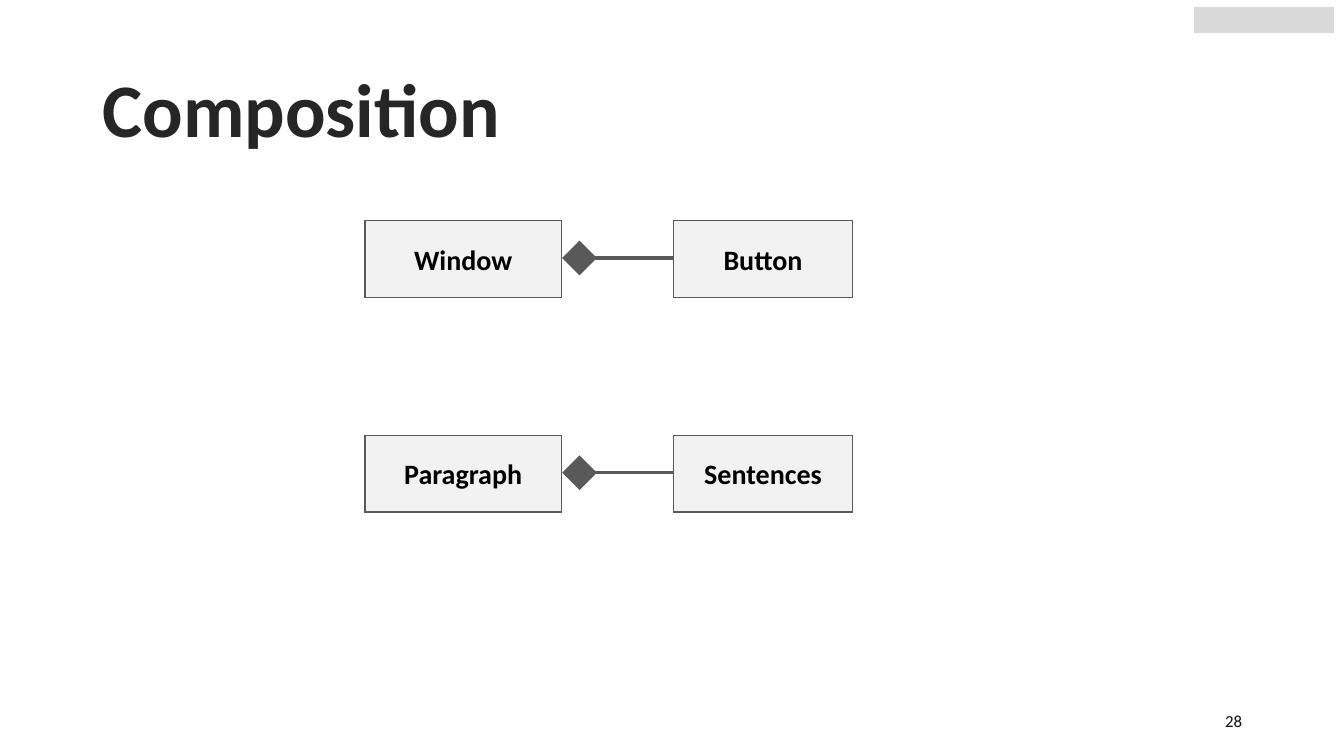
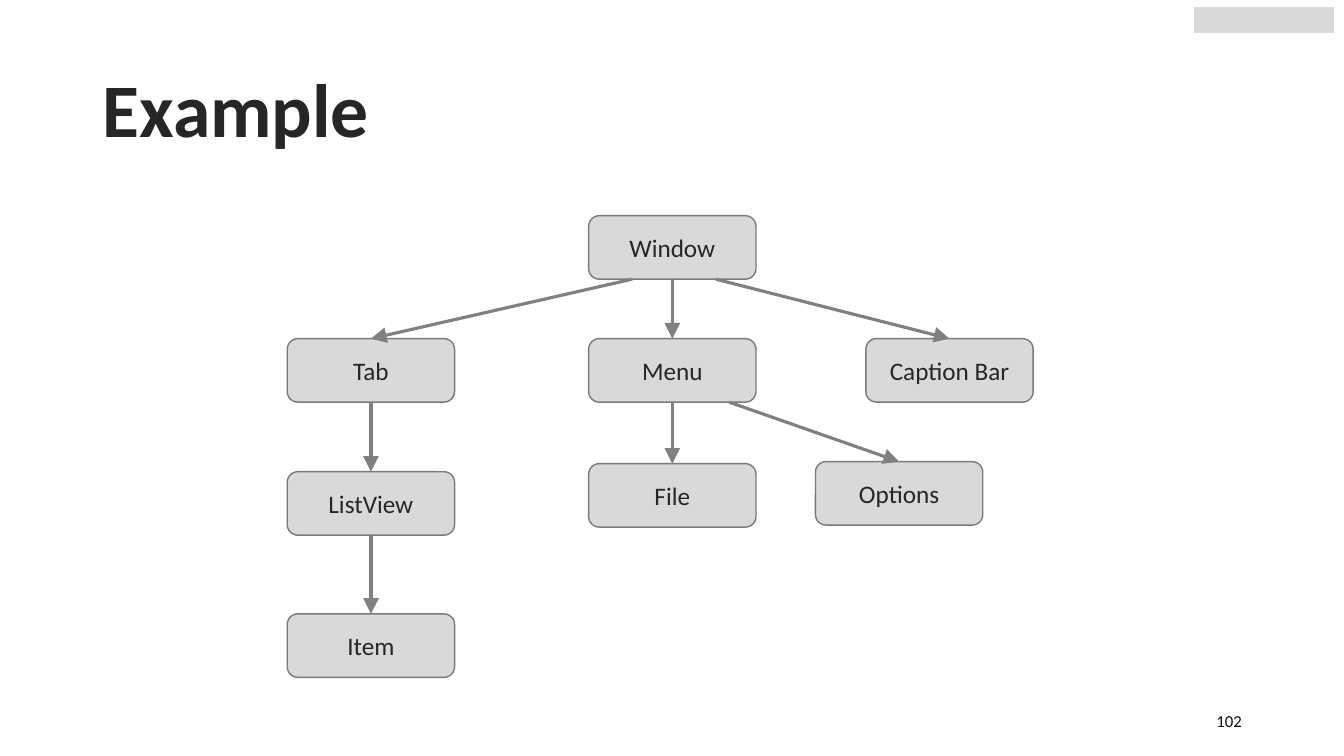
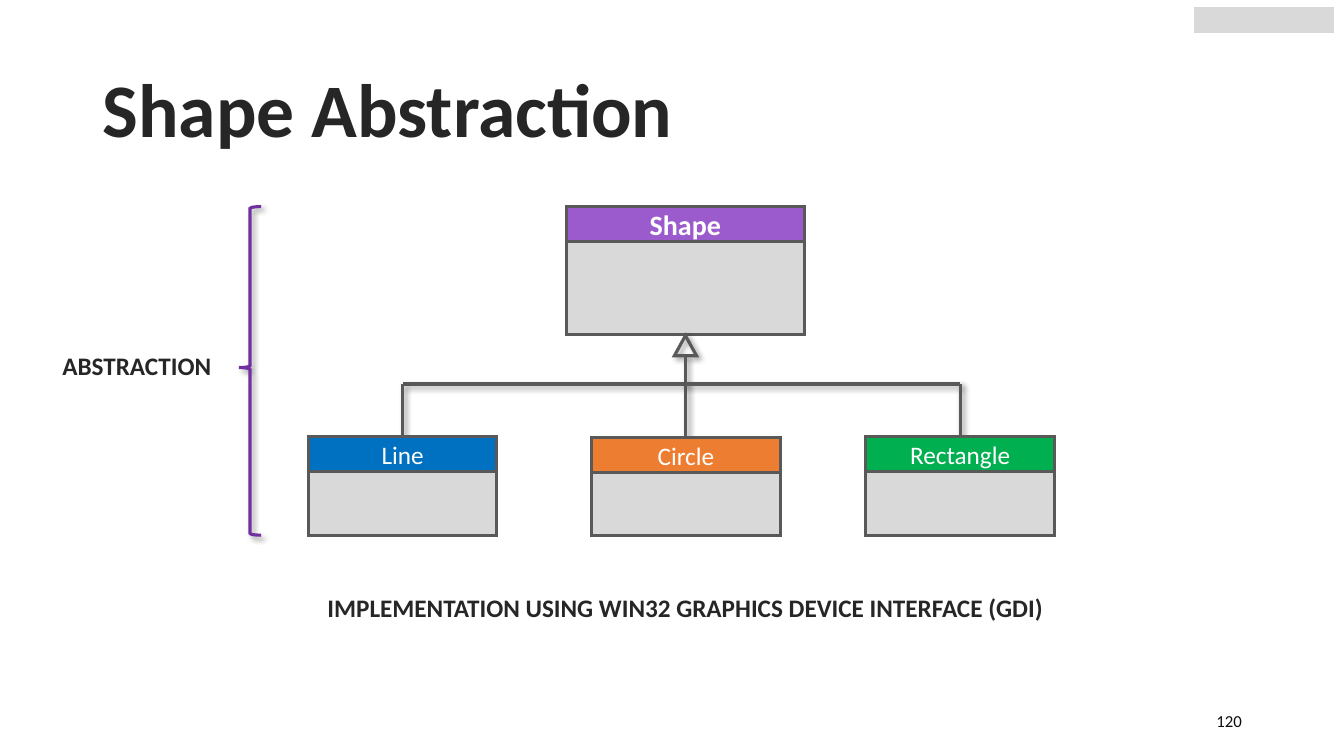
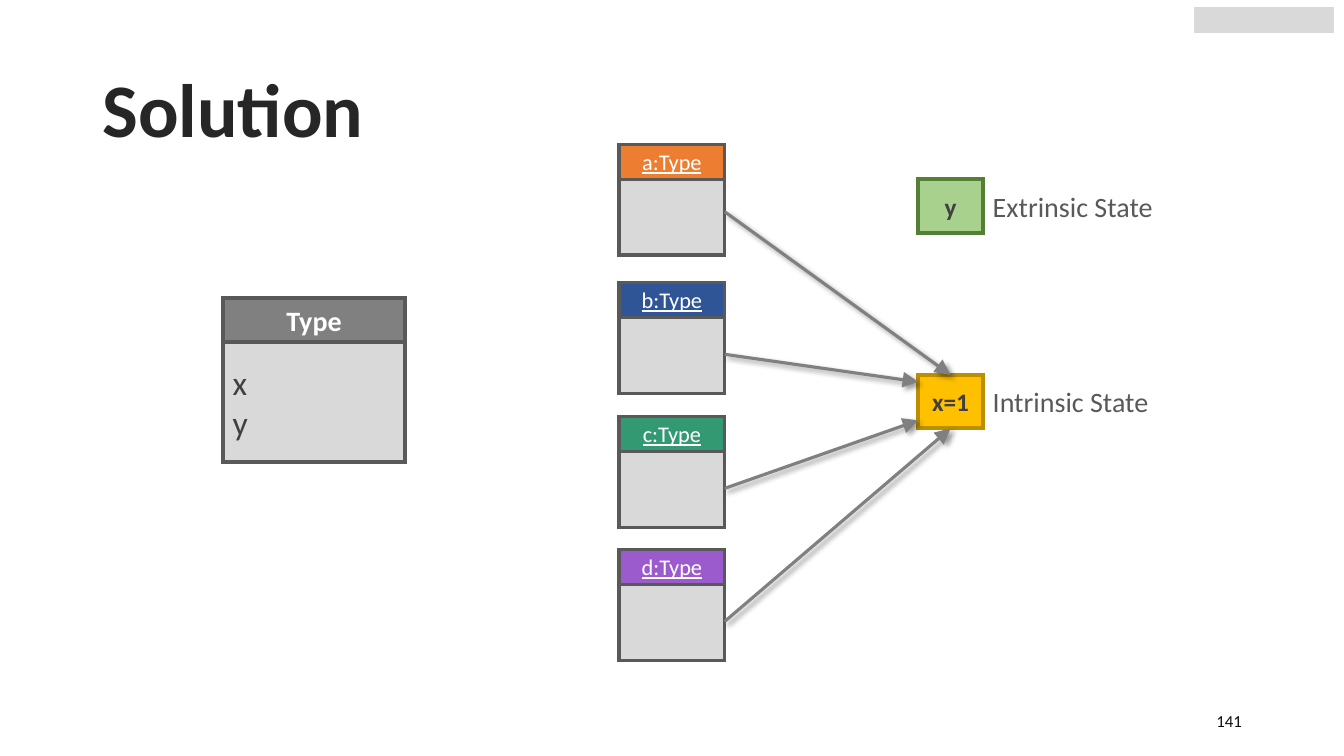
from dataclasses import dataclass
from pptx import Presentation
from pptx import util as u
from pptx.dml.color import RGBColor
from pptx.enum import shapes, text
from pptx.oxml import parse_xml
from pptx.oxml.ns import nsdecls, qn
from pptx.oxml.xmlchemy import OxmlElement

KIND = shapes.MSO_SHAPE
LEFT, CENTER, RIGHT = text.PP_ALIGN.LEFT, text.PP_ALIGN.CENTER, text.PP_ALIGN.RIGHT


@dataclass(frozen=True)
class Theme:
    font: str = "Calibri"
    cell: float = 0.1
    columns: float = 133.33
    rows: float = 75
    ink: str = "262626"
    number: str = "0D0D0D"
    black: str = "000000"
    white: str = "FFFFFF"
    dark: str = "595959"
    state_ink: str = "404040"
    arrow: str = "808080"
    node_edge: str = "7A7A7A"
    panel: str = "D9D9D9"
    pale: str = "F2F2F2"
    orange: str = "ED7D31"
    blue: str = "0070C0"
    navy: str = "2F5597"
    green: str = "00B050"
    teal: str = "339972"
    purple: str = "9C5BCD"
    violet: str = "7030A0"
    amber: str = "FFC000"
    amber_edge: str = "BD8E00"
    leaf: str = "A9D18E"
    leaf_edge: str = "538035"
    title: int = 54
    fields: int = 24
    large: int = 20
    body: int = 18
    object: int = 16
    small: int = 12
    thin: float = 1
    line: float = 2.25
    thick: float = 3


T = Theme()

CORNER = (118.5, 0.8, 13.8, 2.4)

COMPOSITION = [("Window", "Button", 21.9), ("Paragraph", "Sentences", 43.2)]
WHOLE_SPAN, PART_SPAN, PAIR_HEIGHT = (36.2, 19.5), (66.8, 17.8), 7.6
DIAMOND = 3

NODE_SIZE = (16.6, 6.3)
NODES = {
    "Window": (58.4, 21.4),
    "Tab": (28.5, 33.6),
    "Menu": (58.4, 33.6),
    "Caption Bar": (85.9, 33.6),
    "ListView": (28.5, 46.8),
    "Item": (28.5, 60.9),
    "File": (58.4, 46),
    "Options": (80.9, 45.8),
}
LINKS = [
    ("Window", "Caption Bar", 0.76), ("Window", "Menu", 0.5), ("Window", "Tab", 0.26),
    ("Tab", "ListView", 0.5), ("ListView", "Item", 0.5),
    ("Menu", "File", 0.5), ("Menu", "Options", 0.84),
]

BASE = ("Shape", T.purple, (56.2, 20.5, 23.6, 12.7))
DERIVED = [("Line", T.blue, 30.6, 43.3), ("Circle", T.orange, 58.7, 43.4),
           ("Rectangle", T.green, 85.9, 43.3)]
DERIVED_WIDTH, DERIVED_FLOOR, BUS_ROW = 18.7, 53.1, 38.1
ABSTRACTION = ("ABSTRACTION", (5.2, 34.3, 18, 4))
GDI = ("IMPLEMENTATION USING WIN32 GRAPHICS DEVICE INTERFACE (GDI)", (31.5, 58.3, 75, 4))
BRACE = (23.7, 20.5, 2.2, 32.6)

OBJECTS = [
    ("a:Type", T.orange, 14.3, 0.61, (0.5, 0)),
    ("b:Type", T.navy, 28, 0.65, (0, 0.13)),
    ("c:Type", T.teal, 41.3, 0.65, (0, 0.85)),
    ("d:Type", T.purple, 54.5, 0.65, (0.5, 1)),
]
OBJECT_SPAN, OBJECT_HEIGHT = (61.4, 10.5), 11
TYPE = ("Type", ["x", "y"], (22.1, 29.6, 18.1, 16.2))
STATE_SPAN, STATE_HEIGHT = (91.1, 6.4), 5.3
STATES = [("x=1", "Intrinsic State", 37.2, T.amber, T.amber_edge),
          ("y", "Extrinsic State", 17.8, T.leaf, T.leaf_edge)]


def cells(*counts):
    return [u.Inches(count * T.cell) for count in counts]


def rgb(color):
    return RGBColor.from_string(color)


def write(frame, lines, align=LEFT, spacing=None, color=T.ink, size=T.body,
          bold=False, underline=None):
    frame.word_wrap = True
    frame.vertical_anchor = text.MSO_ANCHOR.MIDDLE
    for index, line in enumerate(lines):
        para = frame.paragraphs[0] if index == 0 else frame.add_paragraph()
        para.alignment = align
        para.line_spacing = spacing
        run = para.add_run()
        run.text = line
        run.font.name = T.font
        run.font.size = u.Pt(size)
        run.font.bold = bold
        run.font.underline = underline
        run.font.color.rgb = rgb(color)


def label(slide, place, words, **style):
    write(slide.shapes.add_textbox(*cells(*place)).text_frame, [words], **style)


def add_line_part(drawn, tag, **settings):
    part = OxmlElement(tag)
    for key, value in settings.items():
        part.set(key, value)
    drawn.line._get_or_add_ln().append(part)


def set_effects(drawn, shadow):
    properties = drawn._element.spPr
    effects = properties.find(qn("a:effectLst"))
    if effects is None:
        effects = OxmlElement("a:effectLst")
        properties.append(effects)
    if shadow:
        effects.append(parse_xml(
            f'<a:outerShdw {nsdecls("a")} blurRad="50800" dist="38100" dir="2700000" '
            'algn="tl" rotWithShape="0"><a:srgbClr val="000000"><a:alpha val="40000"/>'
            '</a:srgbClr></a:outerShdw>'))


def block(slide, place, fill, edge=T.dark, width=T.line, kind=KIND.RECTANGLE,
          lines=(), shadow=False, **style):
    drawn = slide.shapes.add_shape(kind, *cells(*place))
    drawn.shadow.inherit = False
    if fill:
        drawn.fill.solid()
        drawn.fill.fore_color.rgb = rgb(fill)
    else:
        drawn.fill.background()
    drawn.line.color.rgb = rgb(edge)
    drawn.line.width = u.Pt(width)
    add_line_part(drawn, "a:miter", lim="800000")
    set_effects(drawn, shadow)
    write(drawn.text_frame, lines, **{"align": CENTER, **style})
    return drawn


def link(slide, start, end, color=T.dark, arrow=False, shadow=False):
    drawn = slide.shapes.add_connector(shapes.MSO_CONNECTOR.STRAIGHT, *cells(*start, *end))
    drawn.line.color.rgb = rgb(color)
    drawn.line.width = u.Pt(T.line)
    if arrow:
        add_line_part(drawn, "a:tailEnd", type="triangle", w="lg", len="lg")
    set_effects(drawn, shadow)


def class_box(slide, name, place, fill, head=3.5, width=T.line, members=(), **style):
    left, top, wide, high = place
    block(slide, (left, top, wide, head), fill, width=width, lines=[name],
          color=T.white, **style)
    block(slide, (left, top + head, wide, high - head), T.panel, width=width,
          lines=members, align=LEFT, size=T.fields, color=T.state_ink)


def at(place, across, down):
    left, top, wide, high = place
    return left + wide * across, top + high * down


def composition(slide):
    for whole, part, top in COMPOSITION:
        for name, (left, wide) in ((whole, WHOLE_SPAN), (part, PART_SPAN)):
            block(slide, (left, top, wide, PAIR_HEIGHT), T.pale, width=T.thin,
                  lines=[name], size=T.large, bold=True, color=T.black)
        middle = top + PAIR_HEIGHT / 2 - 0.1
        tip = sum(WHOLE_SPAN) + 0.3
        link(slide, (tip + DIAMOND, middle), (PART_SPAN[0], middle))
        block(slide, (tip, middle - DIAMOND / 2, DIAMOND, DIAMOND), T.dark, kind=KIND.DIAMOND)


def example(slide):
    for name, corner in NODES.items():
        block(slide, (*corner, *NODE_SIZE), T.panel, T.node_edge, T.thin,
              KIND.ROUNDED_RECTANGLE, [name])
    for parent, child, share in LINKS:
        link(slide, at((*NODES[parent], *NODE_SIZE), share, 1),
             at((*NODES[child], *NODE_SIZE), 0.5, 0), T.arrow, arrow=True)


def abstraction(slide):
    name, fill, place = BASE
    class_box(slide, name, place, fill, size=T.large, bold=True)
    center, floor = at(place, 0.5, 1)
    block(slide, (center - 1.1, floor + 0.1, 2.2, 2), None, kind=KIND.ISOSCELES_TRIANGLE,
          shadow=True)
    link(slide, (center, floor + 2.1), (center, BUS_ROW), shadow=True)
    for name, fill, left, top in DERIVED:
        middle = left + DERIVED_WIDTH / 2
        if abs(middle - center) > 1:
            link(slide, (center, BUS_ROW), (middle, BUS_ROW), shadow=True)
        link(slide, (middle, BUS_ROW), (middle, top), shadow=True)
        class_box(slide, name, (left, top, DERIVED_WIDTH, DERIVED_FLOOR - top), fill)
    for words, place in (ABSTRACTION, GDI):
        label(slide, place, words, bold=True)
    brace = block(slide, BRACE, None, T.violet, kind=KIND.LEFT_BRACE, shadow=True)
    brace.adjustments[1] = 0.49


def solution(slide):
    name, members, place = TYPE
    class_box(slide, name, place, T.arrow, head=4.3, width=T.thick, members=members,
              size=T.large, bold=True)
    for state, meaning, top, fill, edge in STATES:
        left, wide = STATE_SPAN
        block(slide, (left, top, wide, STATE_HEIGHT), fill, edge, T.thick,
              lines=[state], bold=True, color=T.state_ink)
        label(slide, (left + wide, top + 0.45, 19.2, 4.4), meaning, size=T.large, color=T.dark)
    shared = (STATE_SPAN[0], STATES[0][2], STATE_SPAN[1], STATE_HEIGHT)
    for name, fill, top, share, target in OBJECTS:
        place = (OBJECT_SPAN[0], top, OBJECT_SPAN[1], OBJECT_HEIGHT)
        class_box(slide, name, place, fill, size=T.object, underline=True)
        link(slide, at(place, 1, share), at(shared, *target), T.arrow, arrow=True, shadow=True)


SLIDES = [("Composition", 28, composition), ("Example", 102, example),
          ("Shape Abstraction", 120, abstraction), ("Solution", 141, solution)]


def main():
    deck = Presentation()
    deck.slide_width, deck.slide_height = cells(T.columns, T.rows)
    for heading, number, draw in SLIDES:
        slide = deck.slides.add_slide(deck.slide_layouts[6])
        block(slide, CORNER, T.panel, T.panel, T.thin)
        label(slide, (9.2, 4, 115, 14.5), heading, size=T.title, bold=True, spacing=0.9)
        draw(slide)
        label(slide, (94.2, 69.5, 30, 4), str(number), align=RIGHT, size=T.small, color=T.number)
    deck.save("out.pptx")


if __name__ == "__main__":
    main()
